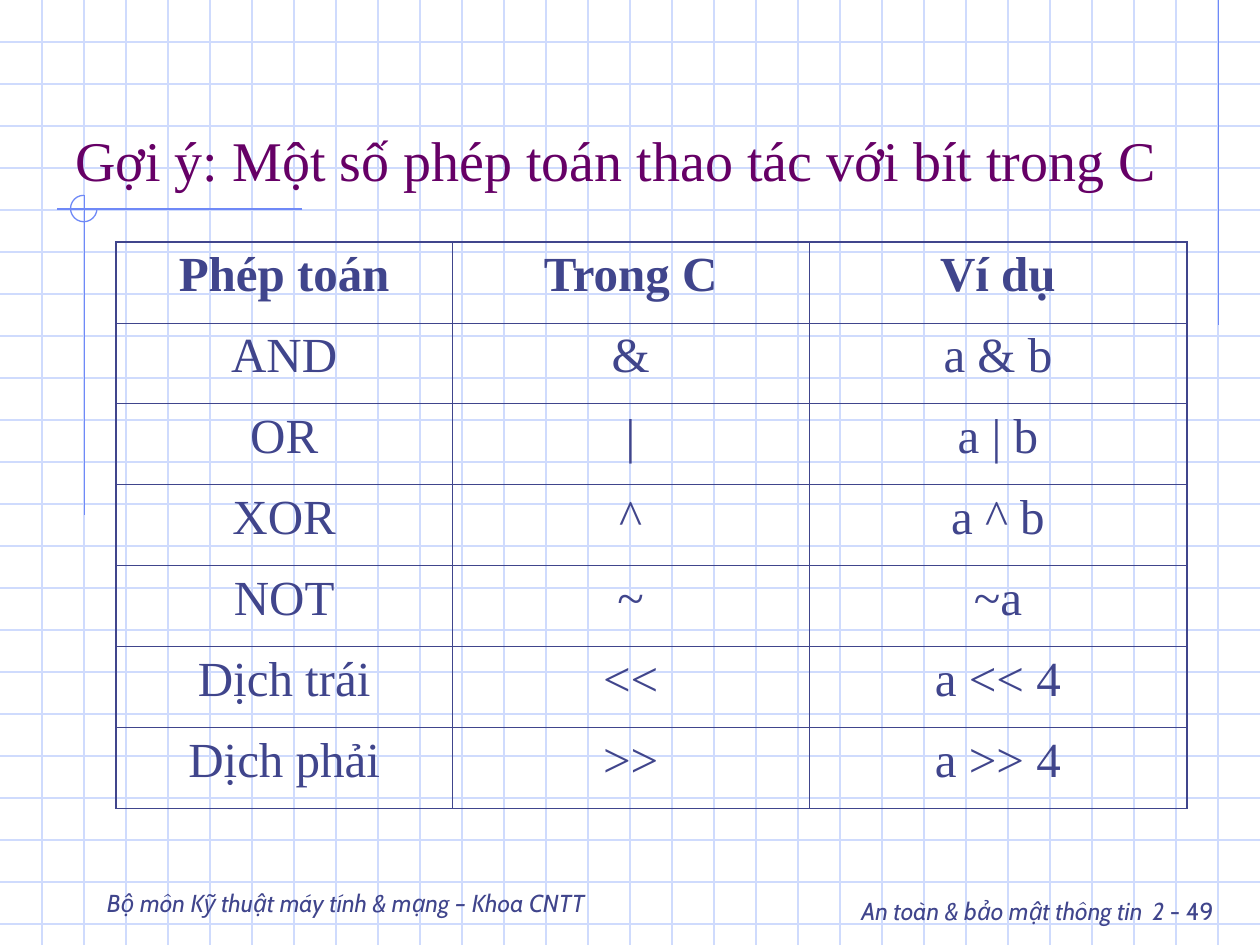
from lxml.etree import SubElement
from pptx import Presentation
from pptx.dml.color import RGBColor
from pptx.enum.shapes import MSO_CONNECTOR as Connector, MSO_SHAPE as Shape
from pptx.enum.text import MSO_ANCHOR as Anchor, PP_ALIGN as Align
from pptx.oxml.ns import qn
from pptx.util import Inches, Pt

NAVY = "40458C"
PURPLE = "660066"
GRID_BLUE = "CFDBFD"
ACCENT_BLUE = "6F89F7"


def color(hex_value):
    return RGBColor.from_string(hex_value)


def add_line(x1, y1, x2, y2, hex_value):
    line = slide.shapes.add_connector(
        Connector.STRAIGHT, Inches(x1), Inches(y1), Inches(x2), Inches(y2))
    line.line.color.rgb = color(hex_value)
    line.line.width = Pt(0.75)
    SubElement(line._element.spPr, qn("a:effectLst"))


prs = Presentation()
prs.slide_width = Inches(10)
prs.slide_height = Inches(7.5)
slide = prs.slides.add_slide(prs.slide_layouts[6])

for step in range(1, 23):
    add_line(0, step / 3, 10, step / 3, GRID_BLUE)
for step in range(1, 30):
    add_line(step / 3, 0, step / 3, 7.5, GRID_BLUE)

add_line(9.67, 0, 9.67, 2.58, ACCENT_BLUE)
add_line(2.4, 1.66, 0.45, 1.66, ACCENT_BLUE)
add_line(0.67, 1.55, 0.67, 4.09, ACCENT_BLUE)

ring = slide.shapes.add_shape(
    Shape.ARC, Inches(0.56), Inches(1.55), Inches(0.21), Inches(0.21))
ring.adjustments[0] = 0
ring.adjustments[1] = 162
ring.shadow.inherit = False
ring.fill.background()
ring.line.color.rgb = color(ACCENT_BLUE)
ring.line.width = Pt(0.75)

texts = [
    (6.25, 6.92, 3.48, 0.5, Anchor.TOP, Align.RIGHT, "Cabin", NAVY,
     [("An toàn & bảo mật thông tin", 14, True), (" ", 24, False),
      ("2", 14, True), (" - 49", 14, False)]),
    (0.75, 6.83, 5.58, 0.5, Anchor.BOTTOM, Align.LEFT, "Cabin", NAVY,
     [("Bộ môn Kỹ thuật máy tính & mạng – Khoa CNTT", 14, True)]),
    (0.5, 0.33, 9, 1.25, Anchor.BOTTOM, Align.LEFT, "Times New Roman", PURPLE,
     [("Gợi ý: Một số phép toán thao tác với bít trong C", 32, False)]),
]
for left, top, width, height, anchor, align, font, hex_value, runs in texts:
    frame = slide.shapes.add_textbox(
        Inches(left), Inches(top), Inches(width), Inches(height)).text_frame
    frame.word_wrap = True
    frame.vertical_anchor = anchor
    paragraph = frame.paragraphs[0]
    paragraph.alignment = align
    paragraph.font.name = font
    paragraph.font.color.rgb = color(hex_value)
    for words, size, italic in runs:
        run = paragraph.add_run()
        run.text = words
        run.font.size = Pt(size)
        run.font.italic = italic

operators = [
    ("Phép toán", "Trong C", "Ví dụ"),
    ("AND", "&", "a & b"),
    ("OR", "|", "a | b"),
    ("XOR", "^", "a ^ b"),
    ("NOT", "~", "~a"),
    ("Dịch trái", "<<", "a << 4"),
    ("Dịch phải", ">>", "a >> 4"),
]
last_row = len(operators) - 1
table = slide.shapes.add_table(
    len(operators), 3, Inches(0.92), Inches(1.92), Inches(8.5), Inches(4.5)).table
table.first_row = False
table.horz_banding = False
for column, width in zip(table.columns, (2.67, 2.83, 3)):
    column.width = Inches(width)

for r, row in enumerate(operators):
    for c, words in enumerate(row):
        cell = table.cell(r, c)
        cell.text = words
        paragraph = cell.text_frame.paragraphs[0]
        paragraph.alignment = Align.CENTER
        paragraph.space_before = Pt(7)
        paragraph.font.name = "Times New Roman"
        paragraph.font.size = Pt(28)
        paragraph.font.bold = r == 0
        paragraph.font.color.rgb = color(NAVY)
        edges = {"L": c == 0, "R": c == 2, "T": r == 0, "B": r == last_row}
        properties = cell._tc.get_or_add_tcPr()
        for side, outer in edges.items():
            border = SubElement(properties, qn(f"a:ln{side}"),
                                w=str(Pt(1.08 if outer else 0.45)))
            SubElement(SubElement(border, qn("a:solidFill")), qn("a:srgbClr"), val=NAVY)
        cell.fill.background()

prs.save("out.pptx")
